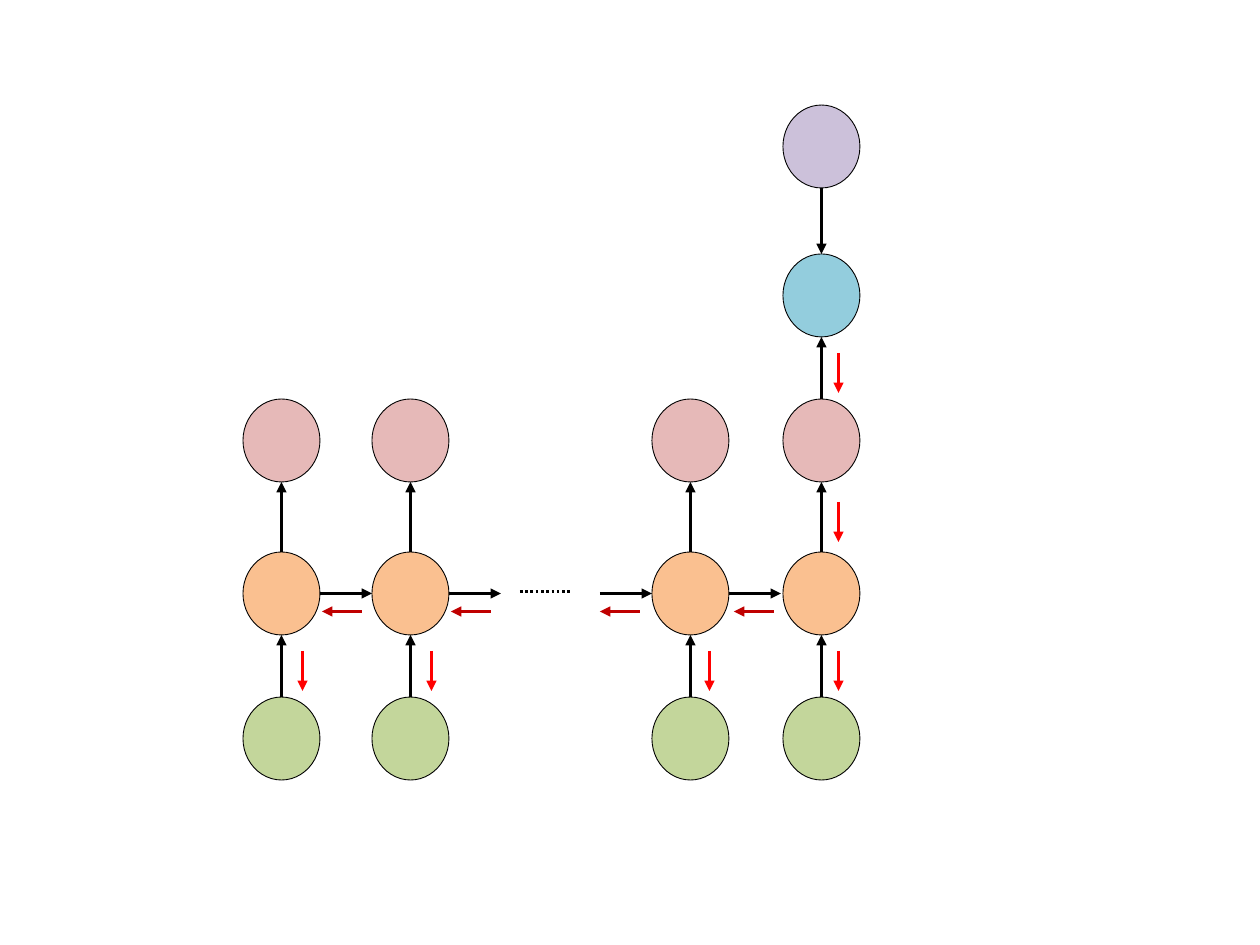
from pptx import Presentation
from pptx.dml.color import RGBColor
from pptx.enum.dml import MSO_LINE
from pptx.enum.shapes import MSO_CONNECTOR, MSO_SHAPE
from pptx.oxml.ns import qn
from pptx.util import Pt
from lxml import etree

STRAIGHT = MSO_CONNECTOR.STRAIGHT
OVAL = MSO_SHAPE.OVAL
DOTS = MSO_LINE.ROUND_DOT  # written as sysDot

BLACK = RGBColor(0, 0, 0)
RED = RGBColor(0xFF, 0, 0)
DARK_RED = RGBColor(0xC0, 0, 0)
GREEN = RGBColor(0xC3, 0xD6, 0x9B)
ORANGE = RGBColor(0xFA, 0xC0, 0x90)
PINK = RGBColor(0xE6, 0xB9, 0xB8)
BLUE = RGBColor(0x93, 0xCD, 0xDD)
PURPLE = RGBColor(0xCC, 0xC1, 0xDA)

SCALE = 914400 / 126
NODE_W, NODE_H = 77, 83
TOP = 105
# Node tops below TOP, from the input up to the target
LEVELS = [(592, GREEN), (447, ORANGE), (294, PINK), (149, BLUE), (0, PURPLE)]
BACK_TOP, BACK_STEP, BACK_LEN = 546, 149, 40
STEP_LEN = 52


def px(n):
    return round(n * SCALE)


def line(slide, x1, y1, x2, y2, color=BLACK, arrow=True):
    link = slide.shapes.add_connector(STRAIGHT, px(x1), px(y1), px(x2), px(y2))
    link.line.color.rgb = color
    link.line.width = Pt(1.5)
    etree.SubElement(link._element.spPr, qn("a:effectLst"))
    if arrow:
        etree.SubElement(link.line._get_or_add_ln(), qn("a:tailEnd"), type="triangle")
    return link


def node(slide, x, y, color):
    oval = slide.shapes.add_shape(OVAL, px(x), px(y), px(NODE_W), px(NODE_H))
    oval.shadow.inherit = False
    oval.fill.solid()
    oval.fill.fore_color.rgb = color
    oval.line.color.rgb = BLACK
    oval.line.width = Pt(0.5)


def column(slide, x, y, count, backs, shift):
    """Stack count nodes upward, with backs red arrows right of the centre."""
    mid = x + NODE_W / 2
    for top, color in LEVELS[:count]:
        node(slide, x, y + top, color)
    for i in range(count - 1):
        start, end = y + LEVELS[i][0], y + LEVELS[i + 1][0] + NODE_H
        if i == 3:  # the target feeds down into the loss
            start, end = end, start
        line(slide, mid, start, mid, end)
    for i in range(backs):
        top = y + BACK_TOP - i * BACK_STEP
        line(slide, mid + shift, top, mid + shift, top + BACK_LEN, RED)


def step(slide, x, y, inset):
    """Draw one forward arrow and the backward arrow under it."""
    line(slide, x, y, x + STEP_LEN, y)
    left = x + inset
    line(slide, left + BACK_LEN, y + 18, left, y + 18, DARK_RED)


def main():
    deck = Presentation()
    deck.slide_width, deck.slide_height = px(1260), px(945)
    slide = deck.slides.add_slide(deck.slide_layouts[6])
    for x, count, backs, shift in [
        (243, 3, 1, 21), (372, 3, 1, 21), (652, 3, 1, 19), (783, 5, 3, 17),
    ]:
        column(slide, x, TOP, count, backs, shift)
    mid = TOP + LEVELS[1][0] + NODE_H / 2
    for x, inset in [(320, 2), (449, 2), (600, 0), (729, 5)]:
        step(slide, x, mid, inset)
    gap = line(slide, 520, mid - 2, 571, mid - 2, arrow=False)
    gap.line.dash_style = DOTS
    deck.save("out.pptx")


if __name__ == "__main__":
    main()
